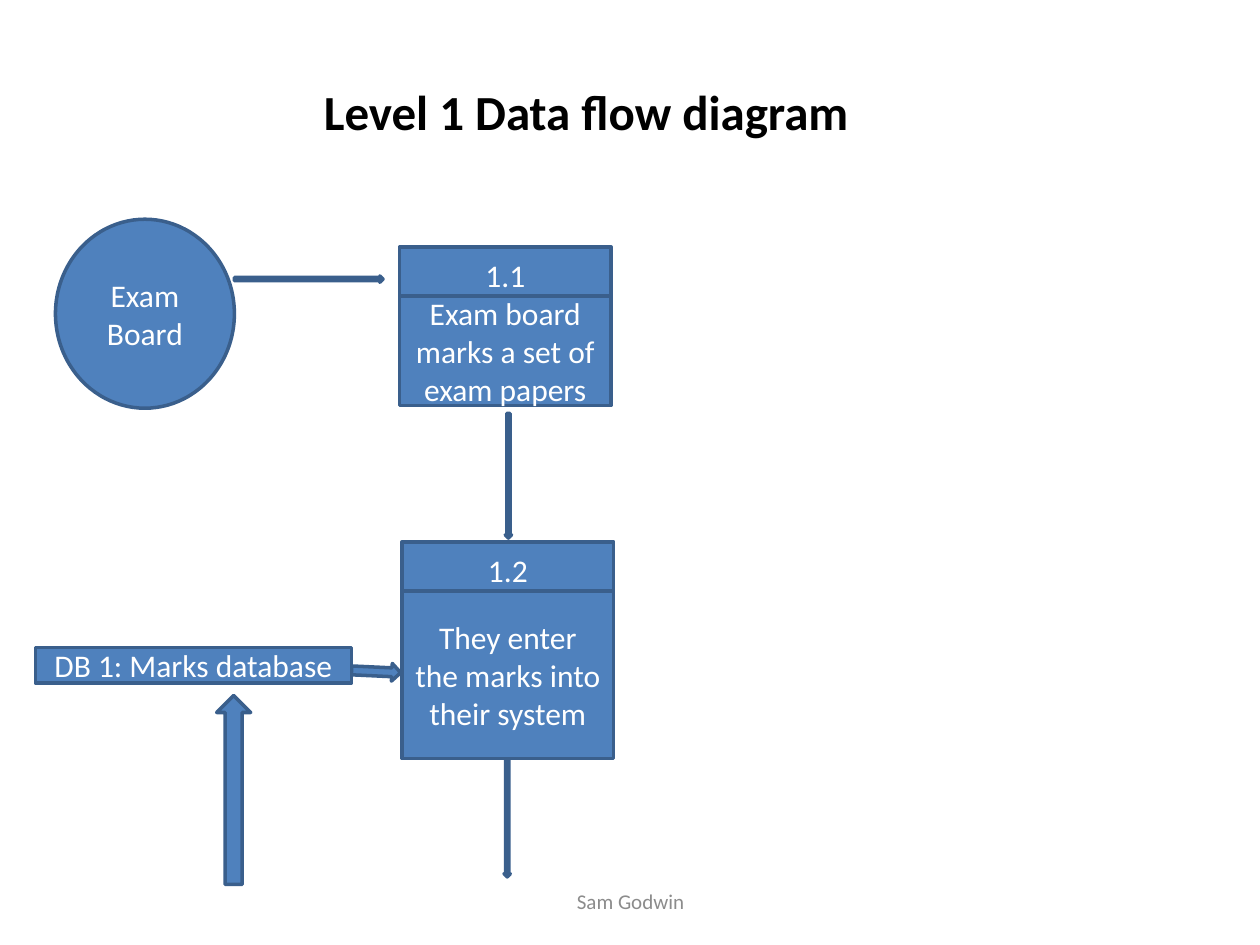
"""Build the level 1 data flow diagram slide."""
import pptx
import pptx.dml.color
import pptx.enum.shapes
import pptx.enum.text
import pptx.util

Inches = pptx.util.Inches
Pt = pptx.util.Pt
RGBColor = pptx.dml.color.RGBColor
SHAPE = pptx.enum.shapes.MSO_SHAPE
ALIGN = pptx.enum.text.PP_ALIGN
ANCHOR = pptx.enum.text.MSO_ANCHOR

BLUE = RGBColor(0x4F, 0x81, 0xBD)
DARK_BLUE = RGBColor(0x3A, 0x5F, 0x8C)
WHITE = RGBColor(0xFF, 0xFF, 0xFF)
BLACK = RGBColor(0x00, 0x00, 0x00)
GREY = RGBColor(0x8C, 0x8C, 0x8C)


def write(frame, text, size, color, align=ALIGN.CENTER, anchor=ANCHOR.MIDDLE, bold=False):
    """Fill a text frame with one formatted paragraph."""
    frame.word_wrap = True
    frame.auto_size = pptx.enum.text.MSO_AUTO_SIZE.NONE
    frame.vertical_anchor = anchor
    paragraph = frame.paragraphs[0]
    paragraph.text = text
    paragraph.alignment = align
    font = paragraph.font
    font.name, font.size, font.bold = "Calibri", Pt(size), bold
    font.color.rgb = color


def add_title(slide, text):
    """Place the heading in the title placeholder."""
    title = slide.shapes.title
    title.left, title.top = Inches(2.47), Inches(0.6)
    title.width, title.height = Inches(4.81), Inches(0.57)
    write(title.text_frame, text, 28, BLACK, ALIGN.LEFT, ANCHOR.TOP, True)


def add_block(slide, kind, left, top, width, height, text=""):
    """Add a blue outlined shape, with a label if one is given."""
    block = slide.shapes.add_shape(
        kind, Inches(left), Inches(top), Inches(width), Inches(height))
    block.shadow.inherit = False
    block.fill.solid()
    block.fill.fore_color.rgb = BLUE
    block.line.color.rgb = DARK_BLUE
    block.line.width = Pt(2)
    if text:
        write(block.text_frame, text, 18, WHITE)
    return block


def add_flow(slide, left, top, length, thickness=0.05, rotation=0):
    """Add a right arrow, turned clockwise by the rotation."""
    flow = add_block(slide, SHAPE.RIGHT_ARROW, left, top, length, thickness)
    flow.rotation = rotation


def add_process(slide, left, top, body_top, body_height, number, action):
    """Add a process box: its number above its action."""
    add_block(slide, SHAPE.RECTANGLE, left, top, 1.68, 0.44, number)
    add_block(slide, SHAPE.RECTANGLE, left, body_top, 1.68, body_height, action)


def add_footer(slide, text):
    """Add the author line at the bottom."""
    footer = slide.shapes.add_textbox(Inches(3.42), Inches(6.95), Inches(3.17), Inches(0.4))
    write(footer.text_frame, text, 12, GREY)


def main():
    """Draw the diagram and save it."""
    deck = pptx.Presentation()
    deck.slide_width, deck.slide_height = Inches(10), Inches(7.5)
    slide = deck.slides.add_slide(deck.slide_layouts[5])

    add_title(slide, "Level 1 Data flow diagram")
    add_block(slide, SHAPE.OVAL, 0.44, 1.74, 1.42, 1.5, "Exam Board")
    add_flow(slide, 1.86, 2.19, 1.18)
    add_flow(slide, 3.54, 3.75, 0.99, rotation=90)
    add_flow(slide, 2.79, 5.26, 0.39, 0.14, 2.7)
    add_process(slide, 3.17, 1.96, 2.35, 0.87, "1.1", "Exam board marks a set of exam papers")
    add_process(slide, 3.19, 4.3, 4.69, 1.33, "1.2", "They enter the marks into their system")
    add_block(slide, SHAPE.RECTANGLE, 0.28, 5.14, 2.51, 0.28, "DB 1: Marks database")
    add_flow(slide, 3.56, 6.47, 0.93, rotation=90)
    add_block(slide, SHAPE.UP_ARROW, 1.72, 5.52, 0.27, 1.5)
    add_footer(slide, "Sam Godwin")

    deck.save("out.pptx")


if __name__ == "__main__":
    main()
